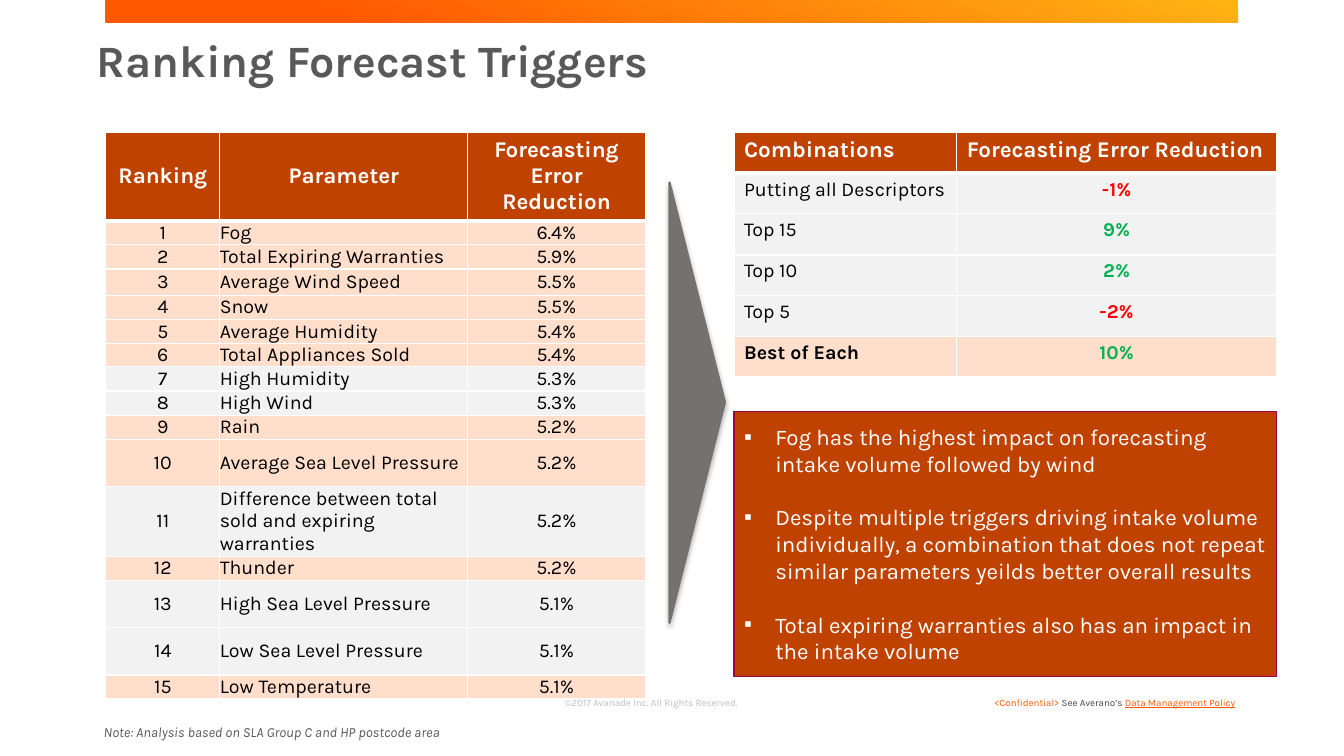
from lxml import etree
from pptx import Presentation
from pptx import util as u
from pptx.dml.color import RGBColor
from pptx.enum import shapes, text
from pptx.oxml import ns

PX = 9144  # EMU; 100 px to the inch
FONT = "Karla"
WHITE = RGBColor(0xFF, 0xFF, 0xFF)
BLACK = RGBColor(0, 0, 0)
ORANGE = RGBColor(0xFF, 0x58, 0x00)
AMBER = RGBColor(0xFF, 0xB4, 0x14)
RUST = RGBColor(0xBF, 0x42, 0x00)
PEACH = RGBColor(0xFF, 0xDE, 0xCC)
PALE = RGBColor(0xF2, 0xF2, 0xF2)
SLATE = RGBColor(0x59, 0x59, 0x59)
CHARCOAL = RGBColor(0x46, 0x46, 0x46)
SILVER = RGBColor(0xBF, 0xBF, 0xBF)
STONE = RGBColor(0x76, 0x71, 0x71)
PLUM = RGBColor(0x98, 0x04, 0x4E)
RED = RGBColor(0xFF, 0, 0)
GREEN = RGBColor(0, 0xB0, 0x50)
LEFT, CENTER, RIGHT = (text.PP_ALIGN.LEFT, text.PP_ALIGN.CENTER,
                       text.PP_ALIGN.RIGHT)
TOP, MIDDLE, BOTTOM = (text.MSO_ANCHOR.TOP, text.MSO_ANCHOR.MIDDLE,
                       text.MSO_ANCHOR.BOTTOM)

TRIGGERS = [
    ("Fog", "6.4%", 24), ("Total Expiring Warranties", "5.9%", 24),
    ("Average Wind Speed", "5.5%", 26), ("Snow", "5.5%", 24),
    ("Average Humidity", "5.4%", 24), ("Total Appliances Sold", "5.4%", 23),
    ("High Humidity", "5.3%", 24), ("High Wind", "5.3%", 24),
    ("Rain", "5.2%", 24), ("Average Sea Level Pressure", "5.2%", 47),
    ("Difference between total sold and expiring warranties", "5.2%", 69),
    ("Thunder", "5.2%", 24), ("High Sea Level Pressure", "5.1%", 47),
    ("Low Sea Level Pressure", "5.1%", 47), ("Low Temperature", "5.1%", 23),
]
UNSELECTED_RANKS = {7, 8, 11, 13, 14}
COMBINATIONS = [("Putting all Descriptors", "-1%"), ("Top 15", "9%"),
                ("Top 10", "2%"), ("Top 5", "-2%"), ("Best of Each", "10%")]
FINDINGS = [
    "Fog has the highest impact on forecasting intake volume followed by wind",
    "Despite multiple triggers driving intake volume individually, a combination "
    "that does not repeat similar parameters yeilds better overall results",
    "Total expiring warranties also has an impact in the intake volume",
]


def emu(box):
    return [length * PX for length in box]


def place(part, box):
    part.left, part.top, part.width, part.height = emu(box)


def add_run(paragraph, words, size, color, bold=False, italic=False,
            underline=False):
    run = paragraph.add_run()
    run.text = words
    font = run.font
    font.name, font.size, font.color.rgb = FONT, u.Pt(size), color
    font.bold, font.italic, font.underline = bold, italic, underline


def add_label(slide, box, align=LEFT, wrap=True):
    label = slide.shapes.add_textbox(*emu(box)).text_frame
    label.word_wrap = wrap
    label.paragraphs[0].alignment = align
    return label


def add_borders(cell, top, bottom):
    """Draw white borders; top and bottom are widths in points."""
    properties = cell._tc.get_or_add_tcPr()
    for side, width in (("L", 1), ("R", 1), ("T", top), ("B", bottom)):
        line = etree.SubElement(properties, ns.qn("a:ln" + side),
                                w=str(u.Pt(width)))
        fill = etree.SubElement(line, ns.qn("a:solidFill"))
        etree.SubElement(fill, ns.qn("a:srgbClr"), val=str(WHITE))


def add_grid(slide, left, top, widths, heights):
    box = (left, top, sum(widths), sum(heights))
    grid = slide.shapes.add_table(len(heights), len(widths), *emu(box)).table
    grid.horz_banding = False
    for column, width in zip(grid.columns, widths):
        column.width = width * PX
    for row, height in zip(grid.rows, heights):
        row.height = height * PX
    for r, row in enumerate(grid.rows):
        for cell in row.cells:
            add_borders(cell, 3 if r == 1 else 1, 3 if r == 0 else 1)
    return grid


def fill_cell(cell, words, fill, color=BLACK, size=14, bold=False, align=LEFT,
              anchor=TOP):
    cell.fill.solid()
    cell.fill.fore_color.rgb = fill
    cell.vertical_anchor = anchor
    paragraph = cell.text_frame.paragraphs[0]
    paragraph.alignment = align
    add_run(paragraph, words, size, color, bold)


def add_footer(slide, left, top):
    policy = add_label(slide, (left + 461, top + 1, 264, 22), RIGHT).paragraphs[0]
    add_run(policy, "<Confidential> ", 7, ORANGE)
    add_run(policy, "See Averano’s ", 7, CHARCOAL)
    add_run(policy, "Data Management Policy", 7, ORANGE, underline=True)
    rights = add_label(slide, (left, top, 272, 18), CENTER)
    rights.margin_left = rights.margin_right = 0
    rights.margin_top = rights.margin_bottom = 0
    rights.vertical_anchor = BOTTOM
    rights.paragraphs[0].line_spacing = 0.9
    add_run(rights.paragraphs[0], "©2017 Avanade Inc. All Rights Reserved.",
            7, SILVER)


def add_top_bar(slide, box):
    bar = slide.shapes.add_shape(shapes.MSO_SHAPE.RECTANGLE, *emu(box))
    bar.shadow.inherit = False
    bar.line.fill.background()
    bar.fill.gradient()
    bar.fill.gradient_angle = 250
    for stop, position, color in zip(bar.fill.gradient_stops, (0, 0.8),
                                     (AMBER, ORANGE)):
        stop.position = position
        stop.color.rgb = color


def set_title(title, box):
    place(title, box)
    frame = title.text_frame
    frame.auto_size = text.MSO_AUTO_SIZE.NONE
    frame.vertical_anchor = TOP
    paragraph = frame.paragraphs[0]
    paragraph.alignment = LEFT
    paragraph.line_spacing = 0.9
    add_run(paragraph, "Ranking Forecast Triggers", 32, SLATE, bold=True)


def add_trigger_ranking(slide, left, top):
    heights = [88] + [height for _, _, height in TRIGGERS]
    grid = add_grid(slide, left, top, (113, 246, 176), heights)
    headings = ("Ranking", "Parameter", "Forecasting Error Reduction")
    for c, heading in enumerate(headings):
        fill_cell(grid.cell(0, c), heading, RUST, WHITE, 16, True, CENTER, MIDDLE)
    for rank, (parameter, reduction, _) in enumerate(TRIGGERS, 1):
        fill = PALE if rank in UNSELECTED_RANKS else PEACH
        for c, words in enumerate((str(rank), parameter, reduction)):
            cell = grid.cell(rank, c)
            cell.margin_left = cell.margin_right = 0
            cell.margin_top = cell.margin_bottom = 0
            fill_cell(cell, words, fill, align=LEFT if c == 1 else CENTER,
                      anchor=MIDDLE)


def add_combinations(slide, left, top):
    heights = [41 - r % 2 for r in range(len(COMBINATIONS) + 1)]
    grid = add_grid(slide, left, top, (221, 317), heights)
    for c, heading in enumerate(("Combinations", "Forecasting Error Reduction")):
        fill_cell(grid.cell(0, c), heading, RUST, WHITE, 16, True)
    for r, (combination, reduction) in enumerate(COMBINATIONS, 1):
        best = r == len(COMBINATIONS)
        fill = PEACH if best else PALE
        fill_cell(grid.cell(r, 0), combination, fill, bold=best)
        fill_cell(grid.cell(r, 1), reduction, fill,
                  RED if reduction.startswith("-") else GREEN, 14, True, CENTER)


def add_pointer(slide, left, top, width, height):
    outline = slide.shapes.build_freeform(left, top, scale=PX)
    outline.add_line_segments([(left + width, top + height // 2),
                               (left, top + height)])
    pointer = outline.convert_to_shape()
    pointer.fill.solid()
    pointer.fill.fore_color.rgb = pointer.line.color.rgb = STONE
    pointer.line.width = u.Pt(1.5)
    pointer.shadow.inherit = False
    effects = pointer._element.spPr.find(ns.qn("a:effectLst"))
    shadow = etree.SubElement(effects, ns.qn("a:outerShdw"),
                              blurRad=str(u.Pt(3.5)), dist=str(u.Pt(2.2)),
                              dir="5400000", rotWithShape="0")
    color = etree.SubElement(shadow, ns.qn("a:srgbClr"), val=str(BLACK))
    etree.SubElement(color, ns.qn("a:alpha"), val="32000")


def set_findings(findings, box):
    place(findings, box)
    findings.fill.solid()
    findings.fill.fore_color.rgb = RUST
    findings.line.color.rgb = PLUM
    findings.line.width = u.Pt(1)
    frame = findings.text_frame
    frame.auto_size = text.MSO_AUTO_SIZE.NONE
    frame.vertical_anchor = MIDDLE
    for i, finding in enumerate(FINDINGS):
        paragraph = frame.add_paragraph() if i else frame.paragraphs[0]
        properties = paragraph._p.get_or_add_pPr()
        properties.set("marL", str(31 * PX))
        properties.set("indent", str(-31 * PX))
        etree.SubElement(properties, ns.qn("a:buChar"), char="▪")
        paragraph.alignment = LEFT
        paragraph.space_before = u.Pt(19 if i else 0)
        add_run(paragraph, finding, 16, WHITE)


def add_note(slide, box):
    note = add_label(slide, box, wrap=False).paragraphs[0]
    add_run(note, "Note: Analysis based on SLA Group C and HP postcode area",
            10, SLATE, italic=True)


def main():
    deck = Presentation()
    deck.slide_width, deck.slide_height = 1333 * PX, 750 * PX
    slide = deck.slides.add_slide(deck.slide_layouts[1])
    add_top_bar(slide, (105, 0, 1123, 22))
    set_title(slide.shapes.title, (86, 33, 1157, 109))
    add_trigger_ranking(slide, 105, 131)
    add_pointer(slide, 664, 181, 55, 437)
    add_combinations(slide, 728, 131)
    set_findings(slide.placeholders[1], (728, 408, 538, 263))
    add_footer(slide, 510, 685)
    add_note(slide, (93, 713, 382, 27))
    deck.save("out.pptx")


if __name__ == "__main__":
    main()
